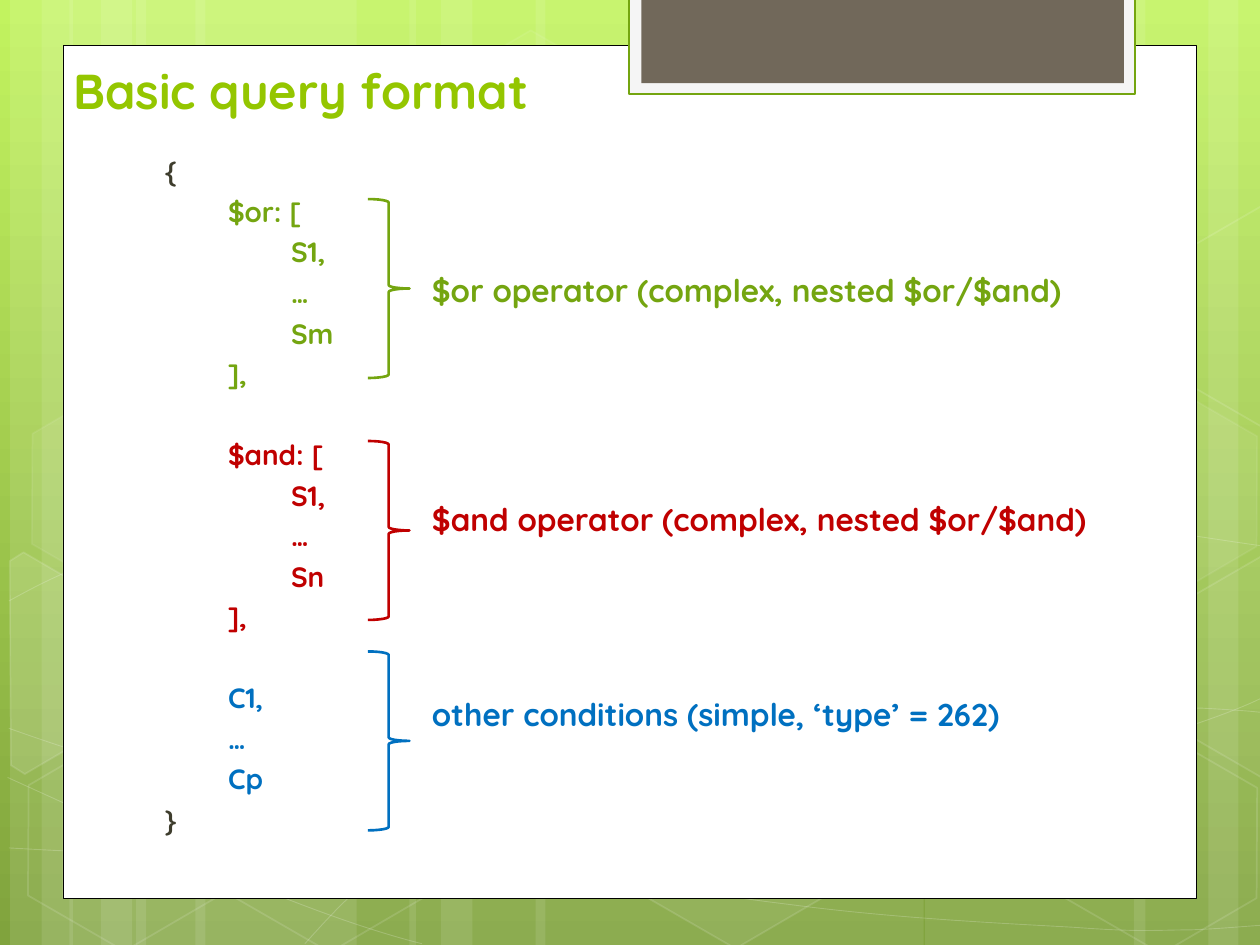
from math import cos, radians, sin

from lxml import etree
from pptx import Presentation
from pptx.dml.color import RGBColor
from pptx.enum.shapes import MSO_SHAPE
from pptx.enum.text import MSO_ANCHOR, MSO_AUTO_SIZE, PP_ALIGN
from pptx.oxml.ns import qn
from pptx.util import Inches, Pt

RECT, HEX, BRACE = MSO_SHAPE.RECTANGLE, MSO_SHAPE.HEXAGON, MSO_SHAPE.RIGHT_BRACE
BOTTOM, LEFT = MSO_ANCHOR.BOTTOM, PP_ALIGN.LEFT
FIXED, GROW = MSO_AUTO_SIZE.NONE, MSO_AUTO_SIZE.SHAPE_TO_FIT_TEXT
FONT = "Quicksand"
TILT = 30
HUES = {"top": "C2F35F", "base": "80A33D", "white": "FFFFFF", "black": "000000",
        "pale": "F5F5F5", "brown": "71685A", "lime": "94C600", "dark": "3E3D2D",
        "green": "74A510", "red": "C00000", "blue": "0070C0"}

TITLE = "Basic query format"
CODE = [
    ("dark", [(0, "{")]),
    ("green", [(1, "$or: ["), (2, "S1,"), (2, "…"), (2, "Sm"), (1, "],")]),
    ("red", [(1, "$and: ["), (2, "S1,"), (2, "…"), (2, "Sn"), (1, "],")]),
    ("blue", [(1, "C1,"), (1, "…"), (1, "Cp")]),
    ("dark", [(0, "}")]),
]
GAPS = {"red", "blue"}
NOTES = [
    ("green", 1.58, 2.1, 5.83, "$or operator (complex, nested $or/$and)"),
    ("red", 3.5, 3.92, 6.08, "$and operator (complex, nested $or/$and)"),
    ("blue", 5.17, 5.47, 5.6, "other conditions (simple, ‘type’ = 262)"),
]
BANDS = [(1.08, 1.75), (0.08, 0.5), (0.33, 0.83), (1.55, 1.75), (0.55, 0.5), (0.8, 0.83),
         (7.34, 1.75), (9.59, 0.5), (9, 0.83), (4.25, 3.08), (3.25, 0.5), (3.5, 0.83)]
WAVES = [
    [(0.07, 6.73), (0.61, 6.76), (1.15, 6.79), (1.9, 6.78), (2.65, 6.77), (3.58, 6.75),
     (4.58, 6.65), (5.58, 6.55), (7, 6.36), (7.92, 6.17), (8.83, 5.98), (9.77, 5.68),
     (10.07, 5.51)],
    [(0.07, 4.77), (0.36, 4.61), (0.65, 4.46), (1.21, 4.31), (1.78, 4.16), (2.59, 3.94),
     (3.47, 3.87), (4.36, 3.8), (5.44, 3.79), (6.54, 3.87), (7.64, 3.95), (9.47, 4.26),
     (10.07, 4.34)],
    [(0.06, 6.17), (1.27, 6.72), (2.47, 7.27), (3.35, 7.49)],
    [(0.07, 5.78), (0.38, 5.89), (0.7, 6), (1.28, 6.16), (1.86, 6.31), (2.73, 6.56),
     (3.57, 6.73), (4.4, 6.9), (5.45, 7.08), (6.28, 7.18), (7.11, 7.29), (8, 7.33),
     (8.53, 7.36), (9.06, 7.4), (9.19, 7.38), (9.45, 7.38), (9.71, 7.37), (9.89, 7.35),
     (10.07, 7.34)],
    [(2.42, 7.49), (2.6, 7.29), (2.78, 7.09), (3.02, 6.91), (3.26, 6.72), (3.6, 6.53),
     (3.88, 6.39), (4.16, 6.25), (4.33, 6.19), (4.69, 6.09), (5.06, 5.99), (5.73, 5.85),
     (6.08, 5.78), (6.44, 5.71), (6.49, 5.71), (6.8, 5.69), (7.11, 5.66), (7.6, 5.63),
     (7.94, 5.62), (8.29, 5.61), (8.86, 5.62), (8.86, 5.62), (9.08, 5.62), (9.3, 5.62),
     (9.53, 5.62), (9.71, 5.63), (9.88, 5.64), (9.97, 5.65), (10.06, 5.66),
     (10.03, 5.65), (10.06, 5.66)],
]
CELLS = [(3.34, 0.36, 4, 8), (4.96, 5.89, 6, 12)]
MORE = [(0.11, 5.91, 0, 12), (0.14, 3.12, 7, 8), (1.74, 5.92, 0, 12),
        (7.53, 4.53, 10, 12), (8.34, 5.93, 0, 12), (8.34, 3.14, 7, 8)]
EDGES = [
    (10, (0.36, 5.36), [(0.08, 4.45), (0.19, 4.38), (0.96, 4.83), (0.95, 5.7),
                        (0.2, 6.14), (0.09, 6.07)]),
    (4, (9.85, 5.2), [(9.26, 4.85), (10.02, 4.41), (10.09, 4.46), (10.09, 6.13),
                      (10.02, 6.17), (9.26, 5.73)]),
    (0, (9.85, 2.41), [(9.26, 2.07), (10.02, 1.63), (10.1, 1.68), (10.09, 3.35),
                       (10.02, 3.39), (9.26, 2.95)]),
]

deck = Presentation()
deck.slide_width, deck.slide_height = Inches(10), Inches(7.5)
slide = deck.slides.add_slide(deck.slide_layouts[1])
shapes = slide.shapes


def tone(name):
    return RGBColor.from_string(HUES[name])


def paint(fill, name):
    if not name:
        fill.background()
        return
    fill.solid()
    fill.fore_color.rgb = tone(name)


def fade(node, alpha):
    for hue in node.iter(qn("a:srgbClr")):
        etree.SubElement(hue, qn("a:alpha")).set("val", str(alpha * 1000))


def style(shape, fill=None, alpha=100, line=None, width=1, clear=100):
    shape.shadow.inherit = False
    paint(shape.fill, fill if alpha else None)
    if alpha < 100:
        fade(shape.element.spPr, alpha)
    paint(shape.line.fill, line)
    if line:
        shape.line.width = Pt(width)
        if clear < 100:
            fade(shape.element.spPr.find(qn("a:ln")), clear)
    return shape


def place(shape, *box):
    shape.left, shape.top, shape.width, shape.height = map(Inches, box)


def add(kind, *box):
    return shapes.add_shape(kind, *map(Inches, box))


def trace(dots, close):
    dots = [(Inches(x), Inches(y)) for x, y in dots]
    pen = shapes.build_freeform(*dots[0], scale=1)
    pen.add_line_segments(dots[1:], close=close)
    return pen.convert_to_shape()


def curve(dots):
    shape = trace(dots, False)
    legs = list(shape.element.iter(qn("a:lnTo")))
    for k in range(0, len(legs), 3):
        bend = etree.Element(qn("a:cubicBezTo"))
        legs[k].addprevious(bend)
        for leg in legs[k:k + 3]:
            bend.append(leg[0])
            leg.getparent().remove(leg)
    return shape


def turn(dots, mid):
    c, s = cos(radians(TILT)), sin(radians(TILT))
    gaps = [(x - mid[0], y - mid[1]) for x, y in dots]
    return [(mid[0] + x * c + y * s, mid[1] + y * c - x * s) for x, y in gaps]


def write(para, text, size, name):
    run = para.add_run()
    run.text = text
    font = run.font
    font.name, font.size, font.bold = FONT, Pt(size), True
    font.color.rgb = tone(name)


back = slide.background.fill
back.gradient()
back.gradient_angle = 270
for stop, name in zip(back.gradient_stops, ("top", "base")):
    stop.color.rgb = tone(name)

for x, w in BANDS:
    style(add(RECT, x, 0, w, 7.5), "white", 10)
for dots in WAVES:
    style(curve(dots), line="white", width=0.5, clear=20)
for x, y, alpha, clear in CELLS + MORE:
    cell = style(add(HEX, x, y, 1.75, 1.52), "white", alpha, "white", 1, clear)
    cell.adjustments[0] = 0.285
    cell.rotation = TILT
for alpha, mid, dots in EDGES:
    style(trace(turn(dots, mid), True), "white", alpha, "white", 1, 12).rotation = TILT

style(add(RECT, 0.5, 0.36, 9, 6.77), "white", line="black", width=0.5)
style(add(RECT, 4.99, -0.02, 4.02, 0.77), "pale", line="green", width=1.25)
style(add(RECT, 5.09, -0.02, 3.83, 0.68), "brown")

title, body = shapes.title, slide.placeholders[1]
for item in (title, body):
    shapes.element.append(item.element)
    item.text_frame.auto_size = FIXED
place(title, 0.48, 0.33, 4.27, 0.67)
title.text_frame.vertical_anchor = BOTTOM
head = title.text_frame.paragraphs[0]
head.alignment = LEFT
write(head, TITLE, 28, "lime")

place(body, 1.14, 1.17, 7.94, 5.5)
frame = body.text_frame
para = frame.paragraphs[0]
for name, rows in CODE:
    for n, (level, text) in enumerate(rows):
        if para.runs:
            para = frame.add_paragraph()
        para.space_before = Pt(27 if n == 0 and name in GAPS else 4)
        props = para._p.get_or_add_pPr()
        props.set("marL", str(Inches(0.07 + 0.5 * level)))
        props.set("indent", "0")
        etree.SubElement(props, qn("a:buNone"))
        write(para, text, 16, name)

for name, top, y, w, text in NOTES:
    style(add(BRACE, 2.92, top, 0.33, 1.42), line=name, width=1.5)
    note = shapes.add_textbox(*map(Inches, (3.33, y, w, 0.4)))
    note.text_frame.word_wrap = True
    note.text_frame.auto_size = GROW
    write(note.text_frame.paragraphs[0], text, 18, name)

deck.save("out.pptx")
